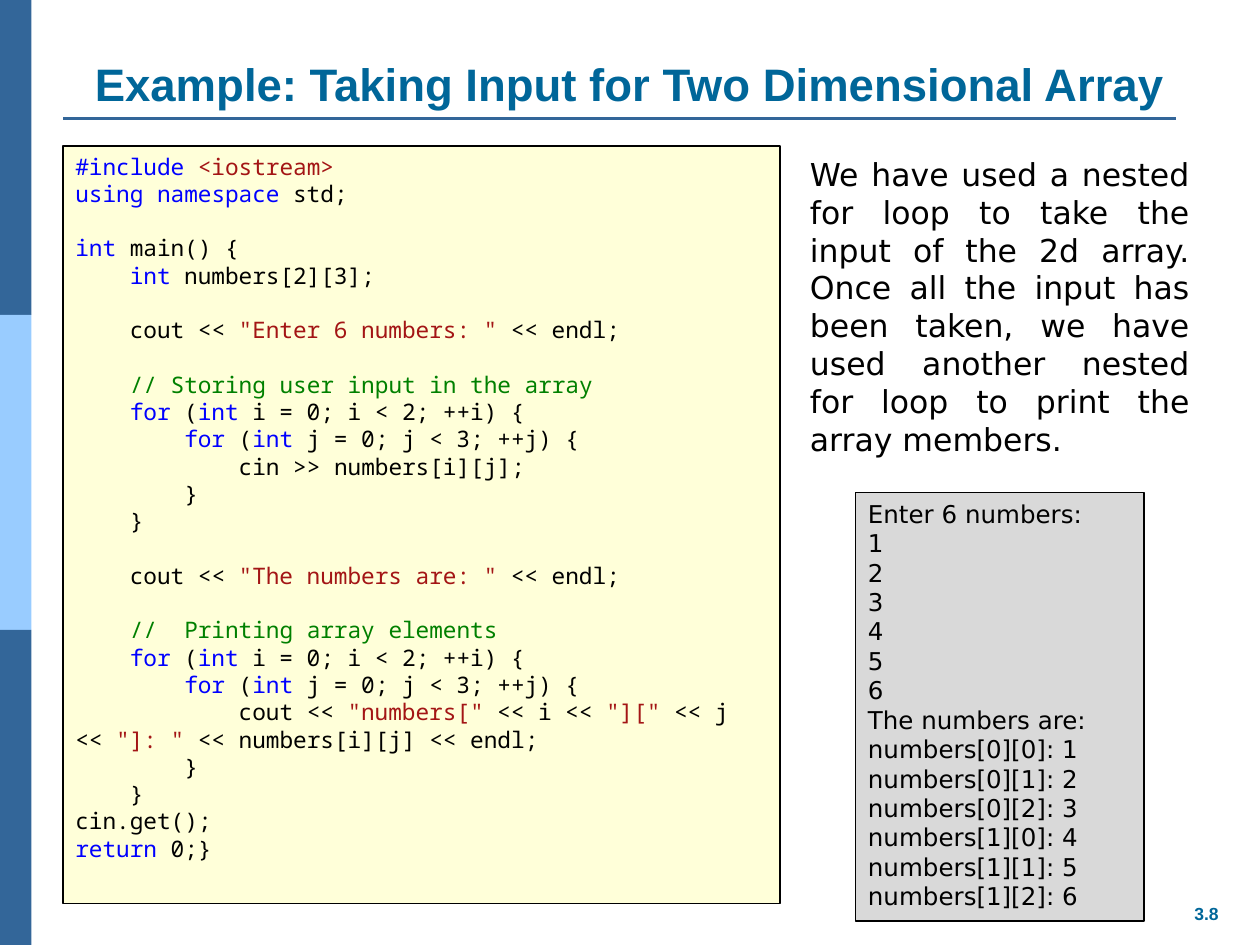
"""Build the slide on reading input into a two dimensional array."""
import pptx
import pptx.dml.color
import pptx.enum.shapes
import pptx.enum.text
import pptx.util

Inches = pptx.util.Inches
Pt = pptx.util.Pt
RGBColor = pptx.dml.color.RGBColor
Align = pptx.enum.text.PP_ALIGN
Anchor = pptx.enum.text.MSO_ANCHOR

COLORS = {
    "band": "336699", "light band": "99CCFF", "heading": "006699",
    "code box": "FFFFD9", "output box": "D9D9D9",
    "plain": "000000", "keyword": "0000FF", "string": "A31515", "comment": "008000",
}

presentation = pptx.Presentation()
presentation.slide_width = Inches(10)
presentation.slide_height = Inches(7.5)
slide = presentation.slides.add_slide(presentation.slide_layouts[6])


def add_box(left, top, width, height, fill=None, outlined=False):
    place = [Inches(value) for value in (left, top, width, height)]
    if fill is None:
        shape = slide.shapes.add_textbox(*place)
    else:
        shape = slide.shapes.add_shape(pptx.enum.shapes.MSO_SHAPE.RECTANGLE, *place)
        shape.shadow.inherit = False
        shape.fill.solid()
        shape.fill.fore_color.rgb = RGBColor.from_string(COLORS[fill])
        if outlined:
            shape.line.color.rgb = RGBColor.from_string(COLORS["plain"])
            shape.line.width = Pt(0.75)
        else:
            shape.line.fill.background()
    shape.text_frame.word_wrap = True
    shape.text_frame.vertical_anchor = Anchor.TOP
    return shape


def write(shape, lines, font, size, align=Align.LEFT, bold=False, spacing=None):
    frame = shape.text_frame
    gap = 0
    started = False
    for line in lines:
        if not line:
            gap = spacing
            continue
        paragraph = frame.add_paragraph() if started else frame.paragraphs[0]
        started = True
        paragraph.alignment = align
        paragraph.space_before = Pt(gap)
        gap = 0
        if spacing:
            paragraph.line_spacing = Pt(spacing)
        for color, text in line:
            run = paragraph.add_run()
            run.text = text
            run.font.name = font
            run.font.size = Pt(size)
            run.font.bold = bold
            run.font.color.rgb = RGBColor.from_string(COLORS[color])


for index, band in enumerate(["band", "light band", "band"]):
    add_box(0, 2.5 * index, 0.25, 2.5, band)

rule = slide.shapes.add_connector(
    pptx.enum.shapes.MSO_CONNECTOR.STRAIGHT,
    Inches(0.5), Inches(0.94), Inches(9.33), Inches(0.94))
rule.line.color.rgb = RGBColor.from_string(COLORS["band"])
rule.line.width = Pt(1.5)
rule._element.spPr.append(pptx.oxml.parse_xml(
    '<a:effectLst xmlns:a="http://schemas.openxmlformats.org/drawingml/2006/main"/>'))

page_number = add_box(9.33, 7.12, 0.49, 0.27)
page_number.text_frame.word_wrap = False
write(page_number, [[("heading", "3.8")]], "Arial", 10, Align.CENTER, bold=True)

title = add_box(0.5, 0.3, 9, 0.63)
title.text_frame.vertical_anchor = Anchor.BOTTOM
write(title, [[("heading", "Example: Taking Input for Two Dimensional Array")]],
      "Arial", 26, Align.CENTER, bold=True)

loops = [
    [("plain", indent), ("keyword", "for"), ("plain", " ("), ("keyword", "int"),
     ("plain", f" {name} = 0; {name} < {limit}; ++{name}) {{")]
    for indent, name, limit in [("    ", "i", 2), ("        ", "j", 3)]
]
closings = [[("plain", "        }")], [("plain", "    }")]]
code = [
    [("keyword", "#include "), ("string", "<iostream>")],
    [("keyword", "using namespace "), ("plain", "std;")],
    [],
    [("keyword", "int"), ("plain", " main() {")],
    [("plain", "    "), ("keyword", "int"), ("plain", " numbers[2][3];")],
    [],
    [("plain", "    cout << "), ("string", '"Enter 6 numbers: "'), ("plain", " << endl;")],
    [],
    [("plain", "    "), ("comment", "// Storing user input in the array")],
    *loops,
    [("plain", "            cin >> numbers[i][j];")],
    *closings,
    [],
    [("plain", "    cout << "), ("string", '"The numbers are: "'), ("plain", " << endl;")],
    [],
    [("plain", "    "), ("comment", "//  Printing array elements")],
    *loops,
    [("plain", "            cout << "), ("string", '"numbers["'), ("plain", " << i << "),
     ("string", '"]["'), ("plain", " << j << "), ("string", '"]: "'),
     ("plain", " << numbers[i][j] << endl;")],
    *closings,
    [("plain", "cin.get();")],
    [("keyword", "return"), ("plain", " 0;}")],
]
code_box = add_box(0.5, 1.16, 5.69, 6.01, "code box", outlined=True)
write(code_box, code, "Noto Sans Mono", 13, spacing=15.6)

output = ["Enter 6 numbers:", *[str(number) for number in range(1, 7)], "The numbers are:"]
output += [f"numbers[{row}][{column}]: {3 * row + column + 1}"
           for row in range(2) for column in range(3)]
output_box = add_box(6.79, 3.91, 2.29, 3.4, "output box", outlined=True)
write(output_box, [[("plain", text)] for text in output], "DejaVu Sans", 14, spacing=16.8)

explanation = add_box(6.33, 1.16, 3.21, 3.13)
explanation.text_frame.margin_top = Inches(0.07)
write(explanation, [[("plain", "We have used a nested for loop to take the input of the 2d array. "
                      "Once all the input has been taken, we have used another nested "
                      "for loop to print the array members.")]],
      "DejaVu Sans", 18, Align.JUSTIFY, spacing=21.6)

presentation.save("out.pptx")
